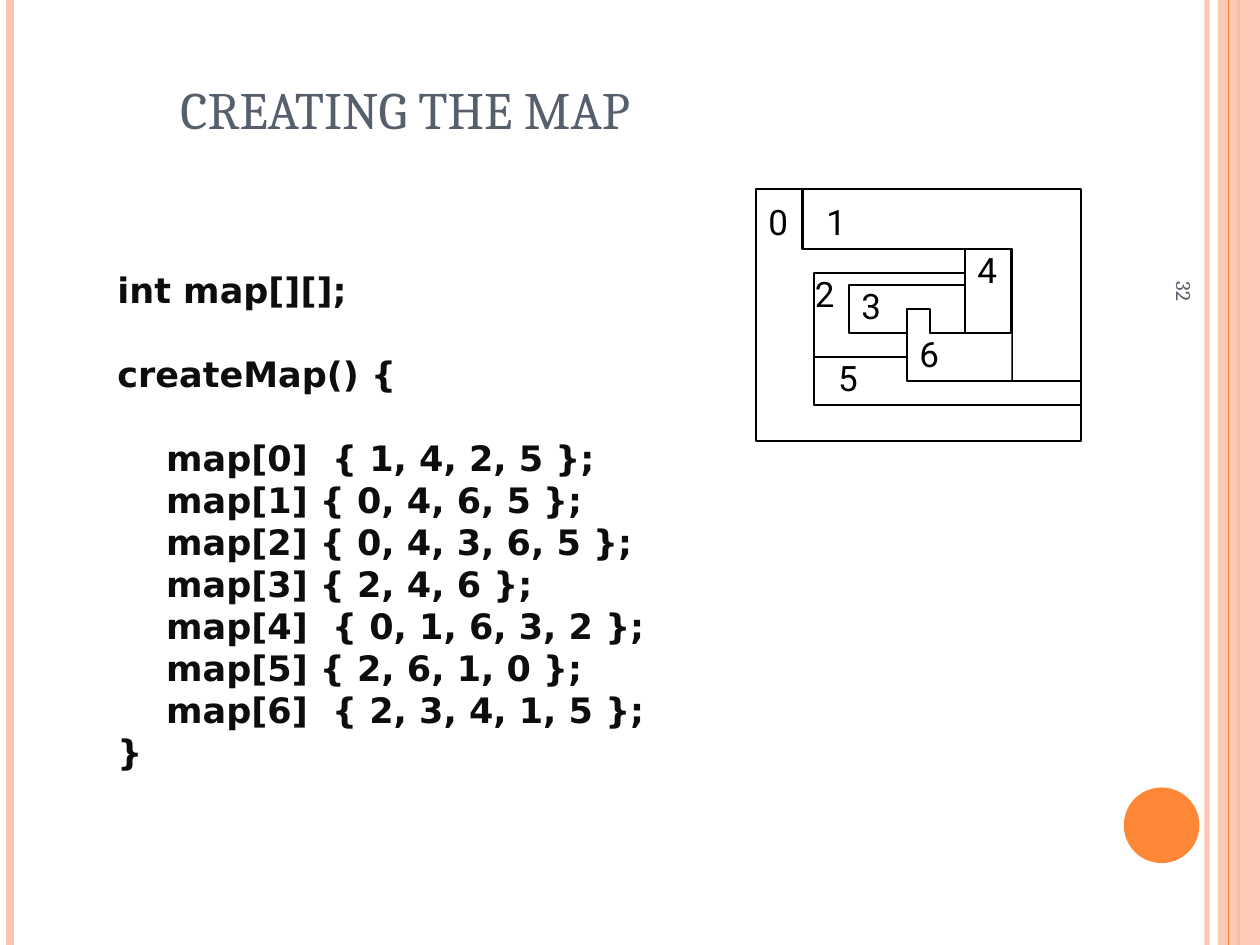
"""Build the slide that shows a region map beside the code of its adjacency lists."""
from lxml.etree import SubElement
from pptx import Presentation
from pptx.dml.color import RGBColor
from pptx.enum.shapes import MSO_CONNECTOR, MSO_SHAPE
from pptx.enum.text import MSO_ANCHOR, PP_ALIGN
from pptx.oxml.ns import qn
from pptx.util import Pt

COLORS = {"peach": "FEC3AE", "orange": "FE8637", "slate": "575F6D",
          "ink": "0D0D0D", "black": "000000", "white": "FFFFFF"}
WIDTH, HEIGHT = 720, 540

TITLE = "CREATING THE MAP"
PAGE_NUMBER = "32"
CODE = """int map[][];

createMap() {

    map[0]  { 1, 4, 2, 5 };
    map[1] { 0, 4, 6, 5 };
    map[2] { 0, 4, 3, 6, 5 };
    map[3] { 2, 4, 6 };
    map[4]  { 0, 1, 6, 3, 2 };
    map[5] { 2, 6, 1, 0 };
    map[6]  { 2, 3, 4, 1, 5 };
}"""
CODE_LINE = 24

# x, line width, color, opacity in percent
BACK_STRIPES = [(689.8, 3, "peach", 93), (5.9, 4.5, "peach", 100), (707.8, 1.5, "orange", 100)]
FRONT_STRIPES = [(702, 0.75, "orange", 100)]

MAP_LEFT, MAP_TOP = 432, 108
COLUMN, ROW = 185.8 / 28, 144 / 21
REGIONS = [
    ([(4, 0), (4, 5), (22, 5), (22, 16), (28, 16), (28, 0)], True),
    ([(18, 5), (22, 5), (22, 12), (18, 12)], True),
    ([(22, 16), (13, 16), (13, 10), (15, 10), (15, 12), (22, 12)], False),
    ([(13, 10), (15, 10), (15, 12), (18, 12), (18, 8), (8, 8), (8, 12), (13, 12)], True),
    ([(18, 8), (18, 7), (5, 7), (5, 14), (13, 14), (13, 12), (8, 12), (8, 8)], True),
    ([(4, 0), (4, 5), (18, 5), (18, 7), (5, 7), (5, 18), (28, 18), (28, 21), (0, 21), (0, 0)], True),
    ([(28, 18), (28, 16), (13, 16), (13, 14), (5, 14), (5, 18)], True),
]
LABELS = {"0": (0, 0), "1": (5, 0), "4": (18, 4), "2": (4, 6),
          "3": (8, 7), "6": (13, 11), "5": (6, 13)}
LABEL_DROP = 0.4


def color(name):
    return RGBColor.from_string(COLORS[name])


def set_opacity(fill_parent, percent):
    node = next(fill_parent.iter(qn("a:srgbClr")))
    SubElement(node, qn("a:alpha"), val=str(percent * 1000))


def write(box, text, *, font, size, ink, bold=False, align=PP_ALIGN.LEFT,
          anchor=MSO_ANCHOR.TOP, pitch=None):
    frame = box.text_frame
    frame.word_wrap = True
    frame.vertical_anchor = anchor
    frame.margin_left = frame.margin_right = Pt(7.2)
    frame.margin_top = frame.margin_bottom = Pt(3.6)
    gap, para = 0, None
    for line in text.split("\n"):
        if not line:
            gap += pitch
            continue
        para = frame.add_paragraph() if para else frame.paragraphs[0]
        para.alignment = align
        para.space_before = Pt(gap)
        if pitch:
            para.line_spacing = Pt(pitch)
        span = para.add_run()
        span.text = line
        span.font.name, span.font.size, span.font.bold = font, Pt(size), bold
        span.font.color.rgb = color(ink)
        gap = 0


def add_text(page, place, text, **style):
    box = page.shapes.add_textbox(*map(Pt, place))
    write(box, text, **style)
    return box


def add_stripes(page, stripes):
    for x, width, ink, opacity in stripes:
        stripe = page.shapes.add_connector(MSO_CONNECTOR.STRAIGHT, Pt(x), 0, Pt(x), Pt(HEIGHT))
        stripe.line.width = Pt(width)
        stripe.line.color.rgb = color(ink)
        properties = stripe.element.spPr
        if opacity < 100:
            set_opacity(properties, opacity)
        SubElement(properties, qn("a:effectLst"))


def add_solid(page, kind, place, ink):
    shape = page.shapes.add_shape(kind, *map(Pt, place))
    shape.shadow.inherit = False
    shape.fill.solid()
    shape.fill.fore_color.rgb = color(ink)
    shape.line.fill.background()
    return shape


def map_point(column, row):
    return Pt(MAP_LEFT + column * COLUMN), Pt(MAP_TOP + row * ROW)


def add_map(page):
    for corners, closed in REGIONS:
        start, *others = [map_point(*corner) for corner in corners]
        builder = page.shapes.build_freeform(*start)
        builder.add_line_segments(others, close=closed)
        region = builder.convert_to_shape()
        region.shadow.inherit = False
        region.fill.solid()
        region.fill.fore_color.rgb = color("white")
        region.line.color.rgb = color("black")
        region.line.width = Pt(1.5)
    for digit, (column, row) in LABELS.items():
        left, top = map_point(column, row + LABEL_DROP)
        add_text(page, (left.pt, top.pt, 4 * COLUMN, 31.5), digit,
                 font="Roboto", size=20, ink="black")


def main():
    deck = Presentation()
    deck.slide_width, deck.slide_height = Pt(WIDTH), Pt(HEIGHT)
    page = deck.slides.add_slide(deck.slide_layouts[5])

    add_stripes(page, BACK_STRIPES)
    band = add_solid(page, MSO_SHAPE.RECTANGLE, (696, 0, 24, HEIGHT), "peach")
    set_opacity(band.element.spPr, 87)
    add_stripes(page, FRONT_STRIPES)
    add_solid(page, MSO_SHAPE.OVAL, (642.2, 450, 43.2, 43.2), "orange")

    number = add_text(page, (597.6, 85, 158.4, 30.2), PAGE_NUMBER, font="Cambria", size=12,
                      ink="slate", align=PP_ALIGN.RIGHT, anchor=MSO_ANCHOR.MIDDLE)
    number.rotation = 90

    title = page.shapes.title
    title.left, title.top, title.width, title.height = map(Pt, (95.8, 26.6, 613.4, 56.9))
    write(title, TITLE, font="Cambria", size=30, ink="slate", anchor=MSO_ANCHOR.BOTTOM)

    add_map(page)
    add_text(page, (60, 150, 563.8, 295.2), CODE, font="DejaVu Sans", size=20,
             ink="ink", bold=True, pitch=CODE_LINE)
    deck.save("out.pptx")


if __name__ == "__main__":
    main()
